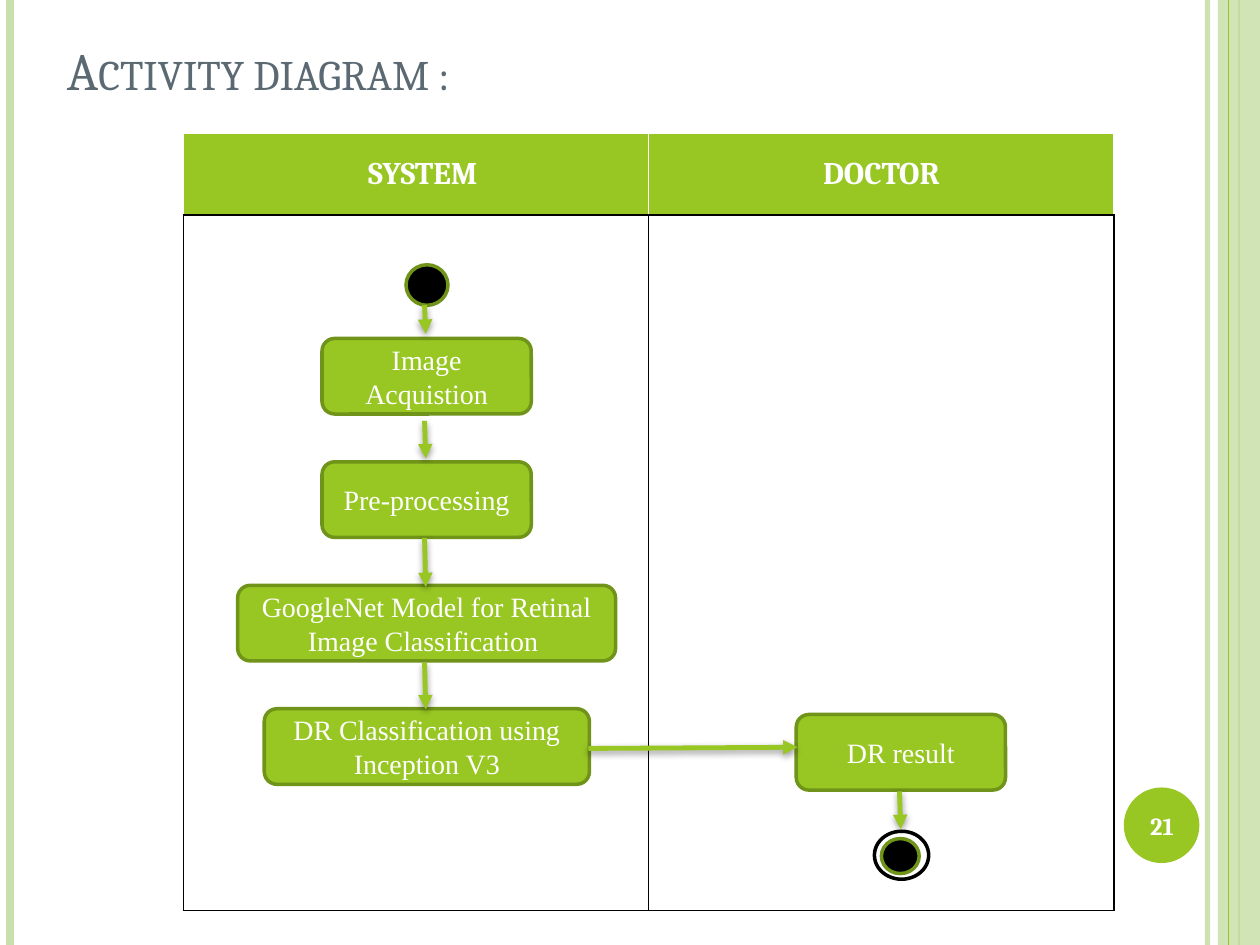
from lxml.etree import SubElement as Sub
from pptx import Presentation
from pptx.dml.color import RGBColor
from pptx.enum.shapes import MSO_CONNECTOR as Link, MSO_SHAPE as Form
from pptx.enum.text import MSO_ANCHOR as Anchor, PP_ALIGN as Align
from pptx.oxml.ns import qn
from pptx.util import Pt

hue = RGBColor.from_string
GREEN, DARK, PALE = "98C723", "70931A", "CAE0AC"
WHITE, BLACK = "FFFFFF", "000000"

deck = Presentation()
deck.slide_width, deck.slide_height = Pt(720), Pt(540)
slide = deck.slides.add_slide(deck.slide_layouts[5])
items = slide.shapes


def write(frame, text, tint, style, align=Align.CENTER):
    frame.word_wrap = True
    para = frame.paragraphs[0]
    para.alignment = align
    run = para.add_run()
    run.text = text
    for key, value in style.items():
        setattr(run.font, key, value)
    run.font.color.rgb = hue(tint)
    return run


def draw(x1, y1, x2, y2, tint, width, arrow=False):
    link = items.add_connector(Link.STRAIGHT, Pt(x1), Pt(y1), Pt(x2), Pt(y2))
    link.line.color.rgb = hue(tint)
    link.line.width = Pt(width)
    props = link._element.spPr
    glow = Sub(props, qn("a:effectLst"))
    if arrow:
        Sub(props.find(qn("a:ln")), qn("a:tailEnd"), type="triangle")
        shade = Sub(glow, qn("a:outerShdw"), blurRad=str(Pt(4)),
                    dist=str(Pt(1.6)), dir="5400000", rotWithShape="0")
        tone = Sub(shade, qn("a:srgbClr"), val=BLACK)
        Sub(tone, qn("a:alpha"), val="42000")
    return link


title = items.title
title.left, title.top, title.width, title.height = Pt(31), Pt(-28.8), Pt(588), Pt(90)
title.text_frame.vertical_anchor = Anchor.BOTTOM
run = write(title.text_frame, "Activity diagram :", "5B6973",
            {"name": "Cambria", "size": Pt(30)}, Align.LEFT)
run._r.get_or_add_rPr().set("cap", "small")

edge = draw(690, 0, 690, 540, PALE, 3)
Sub(edge._element.spPr.find(".//" + qn("a:srgbClr")), qn("a:alpha"), val="93000")
draw(5.8, 0, 5.8, 540, PALE, 4.5)
draw(708, 0, 708, 540, GREEN, 1.5)

table = items.add_table(2, 2, Pt(104.7), Pt(76.3), Pt(532), Pt(444)).table
for col in table.columns:
    col.width = Pt(266)
for row, high in zip(table.rows, (46.5, 397.5)):
    row.height = Pt(high)
heads = ("\N{NO-BREAK SPACE} SYSTEM", "DOCTOR")
for n, cell in enumerate(table.iter_cells()):
    head = n < 2
    props = cell._tc.get_or_add_tcPr()
    for side in ("lnL", "lnR", "lnT", "lnB"):
        tint = WHITE if head and side != "lnB" else BLACK
        rule = Sub(props, qn("a:" + side), w=str(Pt(1)))
        Sub(Sub(rule, qn("a:solidFill")), qn("a:srgbClr"), val=tint)
    if head:
        cell.fill.solid()
        cell.fill.fore_color.rgb = hue(GREEN)
        cell.vertical_anchor = Anchor.MIDDLE
        write(cell.text_frame, heads[n], WHITE,
              {"name": "Cambria", "size": Pt(18), "bold": True})
    else:
        cell.fill.background()

RECT, OVAL, STEP = Form.RECTANGLE, Form.OVAL, Form.ROUNDED_RECTANGLE
nodes = [
    (RECT, 696, 0, 24, 540, PALE, None, ""),
    (OVAL, 642.2, 450, 43.2, 43.2, GREEN, None, ""),
    (OVAL, 232, 151.3, 24, 23.2, BLACK, DARK, ""),
    (STEP, 184, 193.4, 119.6, 43.2, GREEN, DARK, "Image Acquistion"),
    (STEP, 184, 263.9, 119.6, 43.2, GREEN, DARK, "Pre-processing"),
    (STEP, 135.8, 334.5, 216, 43.2, GREEN, DARK,
     "GoogleNet Model for Retinal Image Classification\N{NO-BREAK SPACE}"),
    (STEP, 151, 405, 185.8, 43.2, GREEN, DARK, "DR Classification using Inception V3"),
    (STEP, 455, 408.3, 119.6, 43.2, GREEN, DARK, "DR result"),
    (OVAL, 499.7, 475, 31, 27.4, WHITE, BLACK, ""),
    (OVAL, 503.7, 479.2, 21.6, 20, BLACK, DARK, ""),
]
for form, x, y, wide, high, fill, line, text in nodes:
    node = items.add_shape(form, Pt(x), Pt(y), Pt(wide), Pt(high))
    node.shadow.inherit = False
    node.fill.solid()
    node.fill.fore_color.rgb = hue(fill)
    if line:
        node.line.color.rgb = hue(line)
        node.line.width = Pt(2)
    else:
        node.line.fill.background()
    if form == RECT:
        tone = node._element.spPr.find(".//" + qn("a:srgbClr"))
        Sub(tone, qn("a:alpha"), val="87000")
    if text:
        node.text_frame.vertical_anchor = Anchor.MIDDLE
        write(node.text_frame, text, WHITE,
              {"name": "Times New Roman", "size": Pt(16)})

draw(702, 0, 702, 540, GREEN, 0.75)

page = items.add_textbox(Pt(640), Pt(451.4), Pt(48), Pt(41)).text_frame
page.vertical_anchor = Anchor.MIDDLE
write(page, "21", WHITE, {"name": "Cambria", "size": Pt(14), "bold": True})

for x, top, low in ((242.6, 174.2, 190.8), (242.6, 240.5, 262), (242.6, 307.4, 335.5),
                    (242.6, 378.7, 405.4), (514, 452.2, 473.8)):
    draw(x, top, x + 0.7, low, GREEN, 2.75, True)
draw(336.2, 427.7, 455.8, 427, GREEN, 2.75, True)

deck.save("out.pptx")
